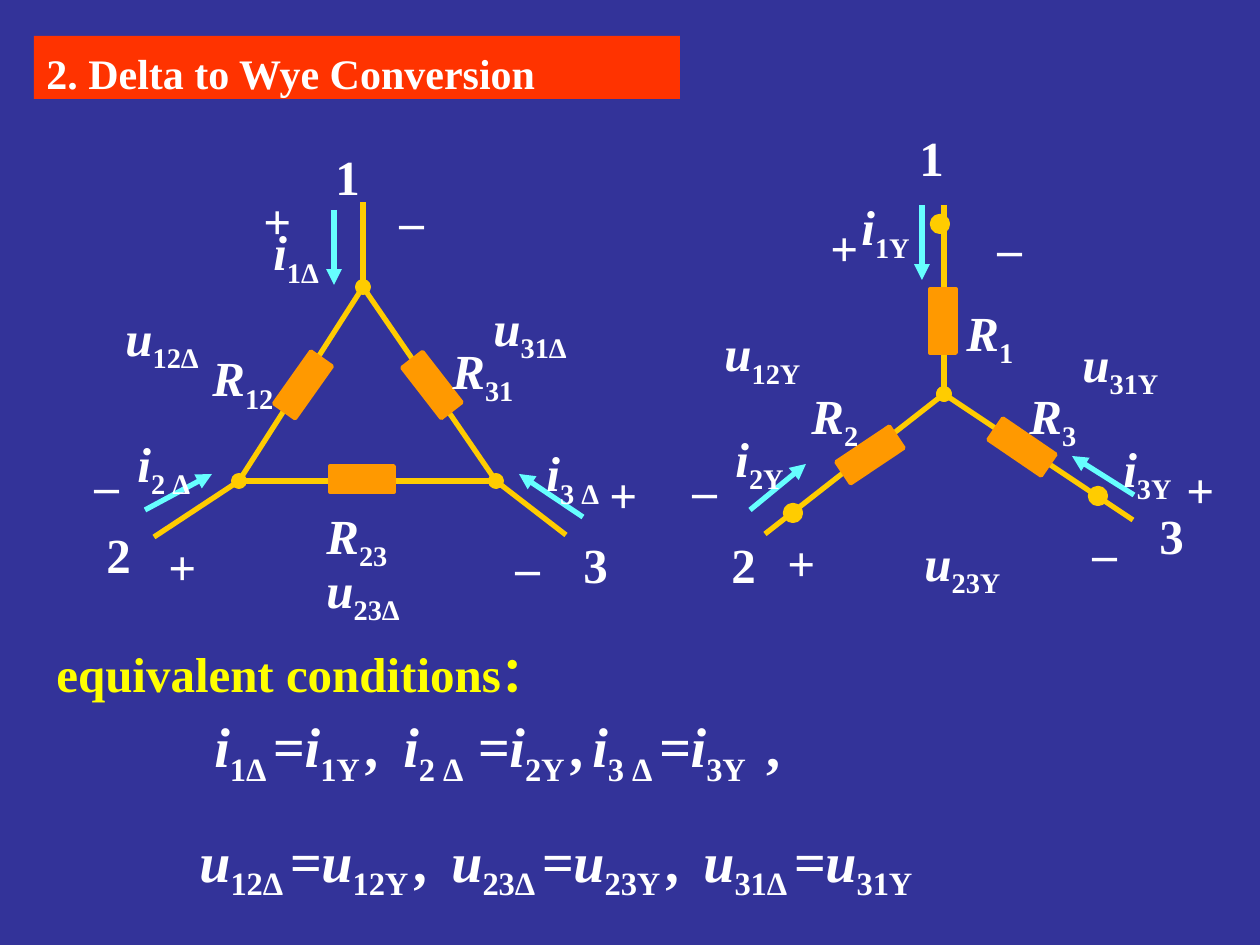
from lxml import etree
from pptx import Presentation
from pptx import util as u
from pptx.dml import color
from pptx.enum import shapes, text
from pptx.oxml import ns

SCALE = 914400 / 126  # EMU per px
FONT = "Times New Roman"
BLUE, WHITE, YELLOW, RED = "333399", "FFFFFF", "FFFF00", "FF3300"
WIRE, RESISTOR, CURRENT = "FFCC00", "FF9900", "66FFFF"
LABEL_WIDTHS = {"i": 94, "R": 105, "u": 130}


def px(value):
    return u.Emu(round(value * SCALE))


def rgb(value):
    return color.RGBColor.from_string(value)


def add_shape(slide, kind, box, fill, line=None, width=2.25, rotation=0):
    shape = slide.shapes.add_shape(kind, *map(px, box))
    shape.shadow.inherit = False
    shape.fill.solid()
    shape.fill.fore_color.rgb = rgb(fill)
    if line:
        shape.line.color.rgb = rgb(line)
        shape.line.width = u.Pt(width)
    else:
        shape.line.fill.background()
    shape.rotation = rotation
    return shape


def add_line(slide, start, end, line, head=None, tail=None):
    connector = slide.shapes.add_connector(
        shapes.MSO_CONNECTOR.STRAIGHT, *map(px, (*start, *end)))
    connector.line.color.rgb = rgb(line)
    connector.line.width = u.Pt(3)
    outline = connector.line._get_or_add_ln()
    for tag, kind in (("a:headEnd", head), ("a:tailEnd", tail)):
        if kind:
            etree.SubElement(outline, ns.qn(tag), type=kind)
    etree.SubElement(connector._element.spPr, ns.qn("a:effectLst"))


def add_runs(paragraph, content, size=28, ink=WHITE, italic=True):
    """Braces in the content enclose a subscript; letters outside are italic."""
    paragraph.alignment = text.PP_ALIGN.LEFT
    for index, part in enumerate(content.replace("}", "{").split("{")):
        if not part:
            continue
        subscript = index % 2 == 1
        run = paragraph.add_run()
        run.text = part
        run.font.name = FONT
        run.font.size = u.Pt(size)
        run.font.bold = True
        run.font.italic = (italic and not subscript
                           and any(letter.isalpha() for letter in part))
        run.font.color.rgb = rgb(ink)
        if subscript:
            run.font._element.set("baseline", "-25000")


def prepare_frame(shape):
    frame = shape.text_frame
    frame.word_wrap = True
    frame.vertical_anchor = text.MSO_ANCHOR.TOP
    frame.margin_top = px(12)
    return frame


def add_text_box(slide, box):
    return prepare_frame(slide.shapes.add_textbox(*map(px, box)))


def add_heading(slide, content, box, fill, **style):
    shape = add_shape(slide, shapes.MSO_SHAPE.RECTANGLE, box, fill)
    add_runs(prepare_frame(shape).paragraphs[0], content, italic=False, **style)


def add_circuit(slide, box, wires, resistors, currents, labels, dots=()):
    """Place circuit parts relative to the top left of the box."""
    left, top = box

    def at(point):
        return left + point[0], top + point[1]

    def centred(point, width, height):
        x, y = at(point)
        return x - width / 2, y - height / 2, width, height

    for start, end, head, tail in wires:
        add_line(slide, at(start), at(end), WIRE, head, tail)
    for centre, rotation in resistors:
        add_shape(slide, shapes.MSO_SHAPE.RECTANGLE, centred(centre, 26, 64),
                  RESISTOR, RESISTOR, rotation=rotation)
    for start, end in currents:
        add_line(slide, at(start), at(end), CURRENT, tail="triangle")
    for centre in dots:
        add_shape(slide, shapes.MSO_SHAPE.OVAL, centred(centre, 15, 15),
                  WIRE, WIRE, width=3)
    for content, points in labels.items():
        for point in points:
            width = LABEL_WIDTHS.get(content[0], 53)
            frame = add_text_box(slide, (*at(point), width, 72))
            add_runs(frame.paragraphs[0], content)


def add_delta(slide, box):
    node1, node2, node3 = (283, 157), (159, 351), (416, 351)
    edges = ((node2, node3), (node3, node1), (node1, node2))
    leads = ((node1, (283, 72)), (node2, (74, 407)), (node3, (486, 405)))
    add_circuit(
        slide, box,
        wires=[(*edge, "oval", "oval") for edge in edges]
        + [(*lead, None, None) for lead in leads],
        resistors=[((282, 349), 270), ((352, 255), 322.2), ((223, 255), 35.3)],
        currents=[((254, 80), (254, 155)), ((65, 380), (132, 344)),
                  ((503, 387), (439, 344))],
        labels={
            "R{12}": [(120, 206)], "R{31}": [(360, 198)], "R{23}": [(234, 363)],
            "i{1Δ}": [(181, 80)], "i{2 Δ}": [(45, 291)], "i{3 Δ}": [(454, 301)],
            "u{12Δ}": [(33, 165)], "u{23Δ}": [(234, 417)], "u{31Δ}": [(401, 155)],
            "1": [(243, 5)], "2": [(14, 382)], "3": [(491, 392)],
            "+": [(171, 49), (76, 395), (517, 322)],
            "–": [(307, 49), (2, 312), (423, 395)],
        })


def add_wye(slide, box):
    centre = (264, 284)
    terminals = ((264, 95), (85, 424), (453, 410))
    add_circuit(
        slide, box,
        wires=[(terminal, centre, None, "oval") for terminal in terminals],
        resistors=[((190, 345), 56.2), ((342, 337), 304.3), ((263, 211), 0)],
        currents=[((242, 95), (242, 170)), ((70, 400), (126, 354)),
                  ((454, 385), (392, 346))],
        dots=[(113, 403), (260, 114), (418, 386)],
        labels={
            "R{1}": [(274, 180)], "R{2}": [(119, 263)], "R{3}": [(337, 263)],
            "i{1Y}": [(169, 75)], "i{2Y}": [(43, 306)], "i{3Y}": [(431, 316)],
            "u{12Y}": [(32, 201)], "u{23Y}": [(232, 410)], "u{31Y}": [(390, 211)],
            "1": [(227, 5)], "2": [(39, 412)], "3": [(467, 383)],
            "+": [(138, 95), (95, 410), (494, 337)],
            "–": [(0, 337), (400, 400), (305, 95)],
        })


def add_equations(slide, box):
    rows = (
        ("i{1Δ }=i{1Y },\ti{2 Δ} =i{2Y },\ti{3 Δ }=i{3Y } ,", (28, 307, 588)),
        ("u{12Δ }=u{12Y },\tu{23Δ }=u{23Y },\tu{31Δ }=u{31Y}", (13, 285, 573)),
    )
    frame = add_text_box(slide, box)
    for index, (content, (indent, *stops)) in enumerate(rows):
        paragraph = frame.add_paragraph() if index else frame.paragraphs[0]
        if index:
            paragraph.space_before = u.Pt(22)
        properties = paragraph._p.get_or_add_pPr()
        properties.set("marL", str(px(indent)))
        properties.set("indent", "0")
        tabs = etree.SubElement(properties, ns.qn("a:tabLst"))
        for stop in stops:
            etree.SubElement(tabs, ns.qn("a:tab"), pos=str(px(stop)), algn="l")
        add_runs(paragraph, content, size=32)


def main():
    presentation = Presentation()
    presentation.slide_width, presentation.slide_height = px(1260), px(945)
    slide = presentation.slides.add_slide(presentation.slide_layouts[6])
    slide.background.fill.solid()
    slide.background.fill.fore_color.rgb = rgb(BLUE)

    # Circuits
    add_delta(slide, (80, 130))
    add_wye(slide, (680, 110))

    # Equivalent conditions and title
    add_equations(slide, (174, 699, 953, 180))
    add_heading(slide, "2. Delta to Wye Conversion", (34, 36, 646, 63), RED, size=24)
    add_heading(slide, "equivalent conditions：", (44, 631, 539, 72), BLUE, ink=YELLOW)
    presentation.save("out.pptx")


if __name__ == "__main__":
    main()
